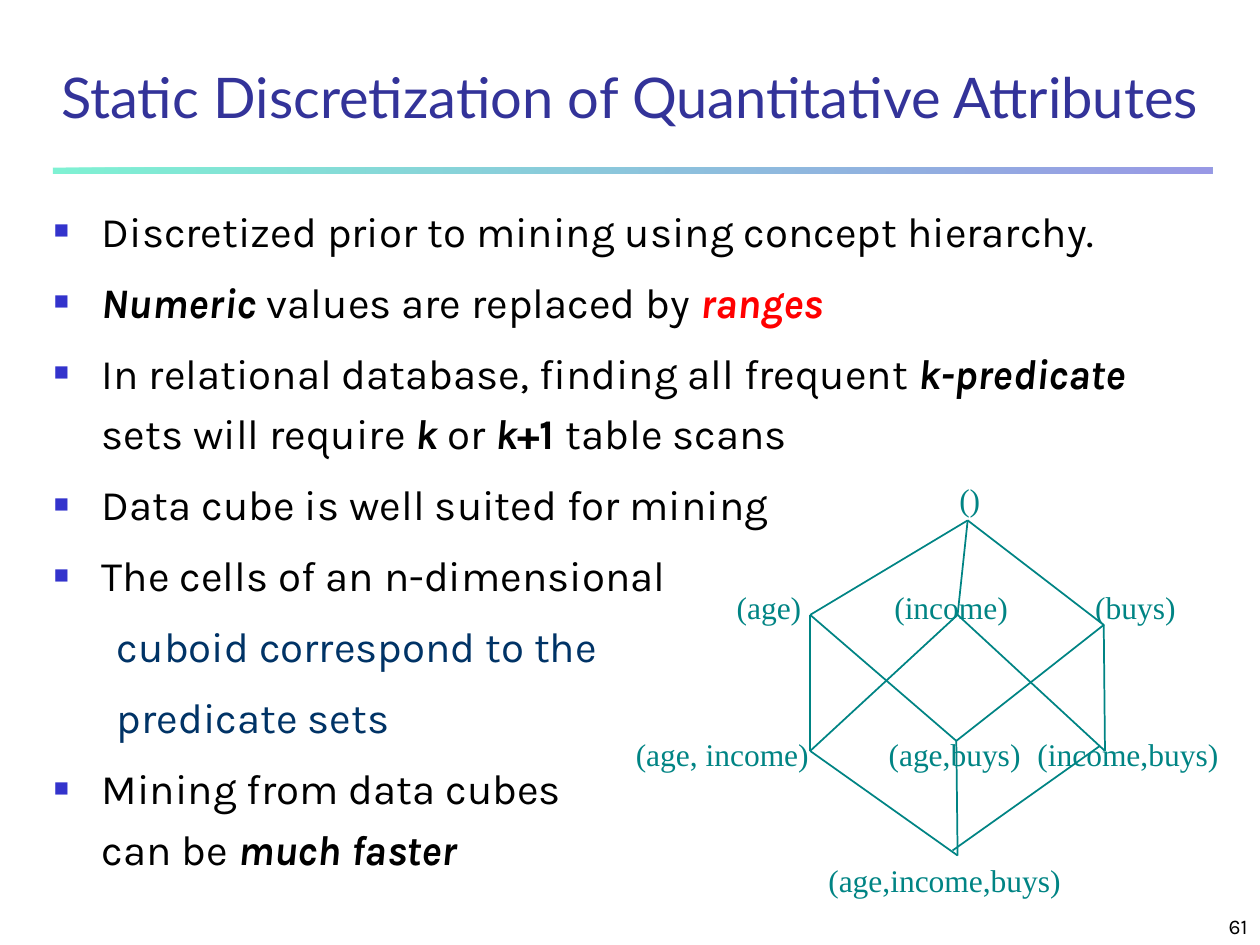
from dataclasses import dataclass

import pptx
import pptx.dml.color
import pptx.enum.shapes
import pptx.enum.text
import pptx.oxml
import pptx.oxml.ns
import pptx.util
from pptx.util import Inches

ALIGN = pptx.enum.text.PP_ALIGN
ANCHOR = pptx.enum.text.MSO_ANCHOR


@dataclass(frozen=True)
class Theme:
    title: str = "333399"
    text: str = "000000"
    detail: str = "003366"
    accent: str = "FF0000"
    bullet: str = "3333CC"
    lattice: str = "008484"
    rule_start: str = "00E4A8"
    rule_end: str = "3333CC"
    title_size: int = 32
    body_size: int = 24
    label_size: int = 18
    number_size: int = 12
    title_font: str = "Lato"
    body_font: str = "Karla"
    label_font: str = "Times New Roman"


THEME = Theme()


@dataclass(frozen=True)
class Span:
    text: str
    bold: bool = False
    italic: bool = False
    color: str = THEME.text


@dataclass(frozen=True)
class Item:
    spans: tuple[Span, ...]
    level: int = 0


@dataclass(frozen=True)
class Box:
    left: float
    top: float
    width: float
    height: float


@dataclass(frozen=True)
class Label:
    text: str
    right: float
    top: float
    width: float


@dataclass(frozen=True)
class Point:
    x: float
    y: float


def strong(text: str, color: str = THEME.text) -> Span:
    return Span(text, True, True, color)


ITEMS = (
    Item((Span("Discretized prior to mining using concept hierarchy."),)),
    Item((strong("Numeric"), Span(" values are replaced by "), strong("ranges", THEME.accent))),
    Item((
        Span("In relational database, finding all frequent "), strong("k-predicate"),
        Span(" sets will require "), strong("k"), Span(" or "), strong("k"),
        Span("+1 ", bold=True), Span("table scans"),
    )),
    Item((Span("Data cube is well suited for mining"),)),
    Item((Span("The cells of an n-dimensional"),)),
    Item((Span("cuboid correspond to the", color=THEME.detail),), 1),
    Item((Span("predicate sets", color=THEME.detail),), 1),
    Item((Span("Mining from data cubes\ncan be "), strong("much faster"))),
)

LABELS = (
    Label("()", 7.78, 3.81, 0.3),
    Label("(age)", 6.36, 4.67, 0.6),
    Label("(income)", 8, 4.67, 1),
    Label("(buys)", 9.33, 4.67, 0.75),
    Label("(age, income)", 6.42, 5.83, 1.5),
    Label("(age,buys)", 8.1, 5.83, 1.15),
    Label("(income,buys)", 9.67, 5.83, 1.55),
    Label("(age,income,buys)", 8.42, 6.83, 1.95),
)
LABEL_HEIGHT = 0.3

APEX = Point(7.68, 4.13)
AGE, INCOME, BUYS = Point(6.43, 4.88), Point(7.6, 4.88), Point(8.76, 4.96)
AGE_INCOME, AGE_BUYS, INCOME_BUYS = Point(6.43, 5.96), Point(7.59, 5.88), Point(8.77, 5.96)
BASE = Point(7.6, 6.79)
EDGES = (
    (APEX, AGE), (APEX, INCOME), (APEX, BUYS),
    (AGE, AGE_INCOME), (AGE, AGE_BUYS),
    (INCOME, AGE_INCOME), (INCOME, INCOME_BUYS),
    (BUYS, AGE_BUYS), (BUYS, INCOME_BUYS),
    (AGE_INCOME, BASE), (AGE_BUYS, BASE),
    (Point(8.73, 5.92), Point(7.56, 6.75)),
)


def rgb(color: str) -> pptx.dml.color.RGBColor:
    return pptx.dml.color.RGBColor.from_string(color)


def add_element(parent, tag: str, **attributes: str):
    element = pptx.oxml.parse_xml(f"<{tag} {pptx.oxml.ns.nsdecls('a')}/>")
    for name, value in attributes.items():
        element.set(name, value)
    parent.append(element)
    return element


def place(shape, box: Box) -> None:
    shape.left, shape.top = Inches(box.left), Inches(box.top)
    shape.width, shape.height = Inches(box.width), Inches(box.height)


def add_run(paragraph, span: Span, font_name: str, size: int) -> None:
    for index, line in enumerate(span.text.split("\n")):
        if index:
            paragraph.add_line_break()
        run = paragraph.add_run()
        run.text = line
        font = run.font
        font.name, font.size = font_name, pptx.util.Pt(size)
        font.bold, font.italic = span.bold, span.italic
        font.color.rgb = rgb(span.color)


def add_text_box(slide, box: Box, horizontal: float = 0.1, vertical: float = 0.05):
    shape = slide.shapes.add_textbox(*map(Inches, (box.left, box.top, box.width, box.height)))
    frame = shape.text_frame
    frame.word_wrap = True
    frame.margin_left = frame.margin_right = Inches(horizontal)
    frame.margin_top = frame.margin_bottom = Inches(vertical)
    return frame


def add_title(slide) -> None:
    title = slide.shapes.title
    place(title, Box(0, 0.33, 10, 0.75))
    frame = title.text_frame
    frame.word_wrap = True
    frame.vertical_anchor = ANCHOR.BOTTOM
    paragraph = frame.paragraphs[0]
    paragraph.alignment = ALIGN.CENTER
    text = "Static Discretization of Quantitative Attributes"
    add_run(paragraph, Span(text, color=THEME.title), THEME.title_font, THEME.title_size)


def add_rule(slide) -> None:
    rule = slide.shapes.add_shape(
        pptx.enum.shapes.MSO_SHAPE.RECTANGLE, *map(Inches, (0.42, 1.33, 9.2, 0.05)))
    rule.shadow.inherit = False
    rule.line.fill.background()
    rule.fill.gradient()
    rule.fill.gradient_angle = 0
    for stop, color in zip(rule.fill.gradient_stops, (THEME.rule_start, THEME.rule_end)):
        stop.color.rgb = rgb(color)
    for color_element in rule.element.spPr.iter(pptx.oxml.ns.qn("a:srgbClr")):
        add_element(color_element, "a:alpha", val="50000")


def add_body(slide, items: tuple[Item, ...]) -> None:
    frame = add_text_box(slide, Box(0.33, 1.5, 9.25, 5.67))
    for index, item in enumerate(items):
        paragraph = frame.add_paragraph() if index else frame.paragraphs[0]
        paragraph.level = item.level
        properties = paragraph._p.get_or_add_pPr()
        margin, indent = ((0.38, -0.38), (0.81, -0.31))[item.level]
        properties.set("marL", str(Inches(margin)))
        properties.set("indent", str(Inches(indent)))
        if item.level:
            add_element(properties, "a:buNone")
        else:
            add_element(add_element(properties, "a:buClr"), "a:srgbClr", val=THEME.bullet)
            add_element(properties, "a:buSzPct", val="60000")
            add_element(properties, "a:buFont", typeface=THEME.label_font)
            add_element(properties, "a:buChar", char="■")
        paragraph.line_spacing = 1.2
        paragraph.space_before = pptx.util.Pt(6 if index else 0)
        for span in item.spans:
            add_run(paragraph, span, THEME.body_font, THEME.body_size)


def add_edge(slide, start: Point, end: Point) -> None:
    edge = slide.shapes.add_connector(
        pptx.enum.shapes.MSO_CONNECTOR.STRAIGHT, *map(Inches, (start.x, start.y, end.x, end.y)))
    edge.line.color.rgb = rgb(THEME.lattice)
    edge.line.width = pptx.util.Pt(1)
    add_element(edge.element.spPr, "a:effectLst")


def add_label(slide, label: Label) -> None:
    box = Box(label.right - label.width, label.top, label.width, LABEL_HEIGHT)
    frame = add_text_box(slide, box, 0, 0)
    paragraph = frame.paragraphs[0]
    paragraph.alignment = ALIGN.RIGHT
    add_run(paragraph, Span(label.text, color=THEME.lattice), THEME.label_font, THEME.label_size)


def add_slide_number(slide) -> None:
    frame = add_text_box(slide, Box(7.92, 7.08, 2.08, 0.42))
    frame.vertical_anchor = ANCHOR.BOTTOM
    frame.paragraphs[0].alignment = ALIGN.RIGHT
    add_run(frame.paragraphs[0], Span("61"), THEME.body_font, THEME.number_size)


def main() -> None:
    presentation = pptx.Presentation()
    presentation.slide_width, presentation.slide_height = Inches(10), Inches(7.5)
    slide = presentation.slides.add_slide(presentation.slide_layouts[5])
    add_rule(slide)
    add_slide_number(slide)
    add_title(slide)
    add_body(slide, ITEMS)
    for start, end in EDGES:
        add_edge(slide, start, end)
    for label in LABELS:
        add_label(slide, label)
    presentation.save("out.pptx")


if __name__ == "__main__":
    main()
